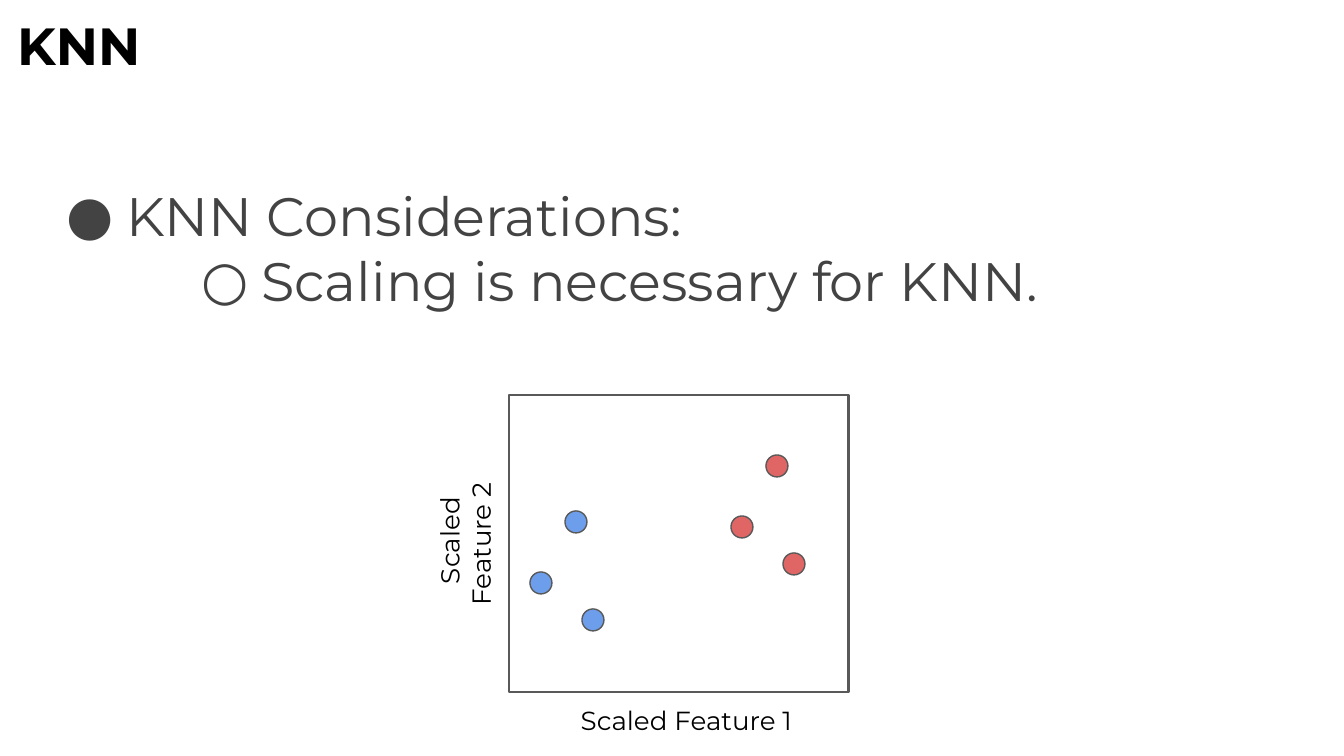
import pptx
import pptx.util
import pptx.dml.color
import pptx.enum.shapes
import pptx.enum.text
import lxml.etree
import pptx.oxml.ns

PX = 914400 / 134.4
FONT = "Montserrat"
COLORS = {
    "black": "000000",
    "body": "434343",
    "outline": "595959",
    "blue": "6D9EEB",
    "red": "E06666",
}
DOT = 22
# Every class of points has the same pattern, from its first point
CLUSTER = [(0, 0), (35, -61), (52, 37)]


def px(n):
    return pptx.util.Emu(round(n * PX))


def rgb(name):
    return pptx.dml.color.RGBColor.from_string(COLORS[name])


def add_text_box(s, box):
    sp = s.shapes.add_textbox(*map(px, box))
    tf = sp.text_frame
    tf.word_wrap = True
    tf.margin_left = tf.margin_right = pptx.util.Inches(0.1)
    tf.margin_top = tf.margin_bottom = pptx.util.Inches(0.1)
    return sp


def add_run(p, text, size, color, bold=False):
    r = p.add_run()
    r.text = text
    r.font.name = FONT
    r.font.size = pptx.util.Pt(size)
    r.font.bold = bold
    r.font.color.rgb = rgb(color)


def set_bullet(p, char, indent):
    """Give the paragraph a hanging bullet, with its text indent px in."""
    pPr = p._p.get_or_add_pPr()
    pPr.set("marL", str(px(indent)))
    pPr.set("indent", str(px(-60)))
    qn = pptx.oxml.ns.qn
    color = lxml.etree.SubElement(pPr, qn("a:buClr"))
    lxml.etree.SubElement(color, qn("a:srgbClr"), val=COLORS["body"])
    lxml.etree.SubElement(pPr, qn("a:buFont"), typeface=FONT)
    lxml.etree.SubElement(pPr, qn("a:buChar"), char=char)


def add_outlined(s, kind, box, width, fill=None):
    sp = s.shapes.add_shape(kind, *map(px, box))
    sp.shadow.inherit = False
    sp.line.color.rgb = rgb("outline")
    sp.line.width = pptx.util.Pt(width)
    if fill:
        sp.fill.solid()
        sp.fill.fore_color.rgb = rgb(fill)
    else:
        sp.fill.background()


def add_title(s, box):
    p = add_text_box(s, box).text_frame.paragraphs[0]
    add_run(p, "KNN", 28, "black", bold=True)


def add_body(s, box):
    tf = add_text_box(s, box).text_frame
    items = [
        ("KNN Considerations:", 0, "●", 67),
        ("Scaling is necessary for KNN.", 1, "○", 202),
    ]
    for i, (text, level, char, indent) in enumerate(items):
        p = tf.add_paragraph() if i else tf.paragraphs[0]
        p.level = level
        set_bullet(p, char, indent)
        add_run(p, text, 29, "body")


def add_axis_label(s, box, text, rotation=0):
    sp = add_text_box(s, box)
    sp.rotation = rotation
    p = sp.text_frame.paragraphs[0]
    p.alignment = pptx.enum.text.PP_ALIGN.CENTER
    add_run(p, text, 14, "black")


def add_scatter(s, box):
    x, y, w, h = box
    shapes = pptx.enum.shapes.MSO_SHAPE
    add_outlined(s, shapes.RECTANGLE, box, 1.5)
    add_axis_label(s, (x - 79, y + h - 1, 513, 34), "Scaled Feature 1")
    add_axis_label(s, (x - 170, y + 132, 196, 34), " Scaled Feature 2", 270)
    for color, left, top in [("blue", 21, 177), ("red", 222, 121)]:
        for dx, dy in CLUSTER:
            dot = (x + left + dx, y + top + dy, DOT, DOT)
            add_outlined(s, shapes.OVAL, dot, 0.75, color)


def main():
    prs = pptx.Presentation()
    prs.slide_width, prs.slide_height = px(1344), px(756)
    s = prs.slides.add_slide(prs.slide_layouts[6])
    add_title(s, (4, 0, 1145, 85))
    add_body(s, (46, 169, 1277, 503))
    add_scatter(s, (509, 395, 340, 297))
    prs.save("out.pptx")


if __name__ == "__main__":
    main()
